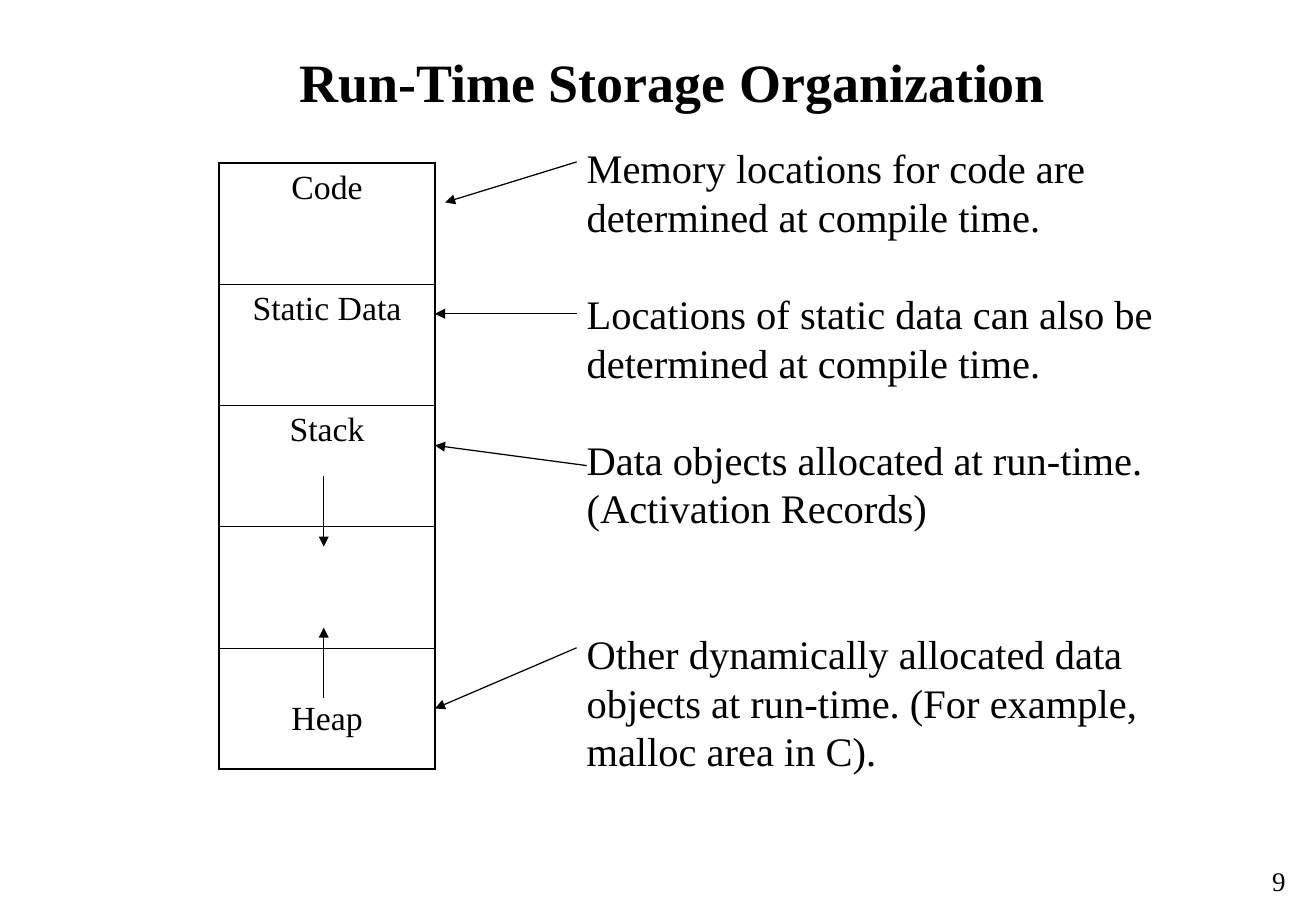
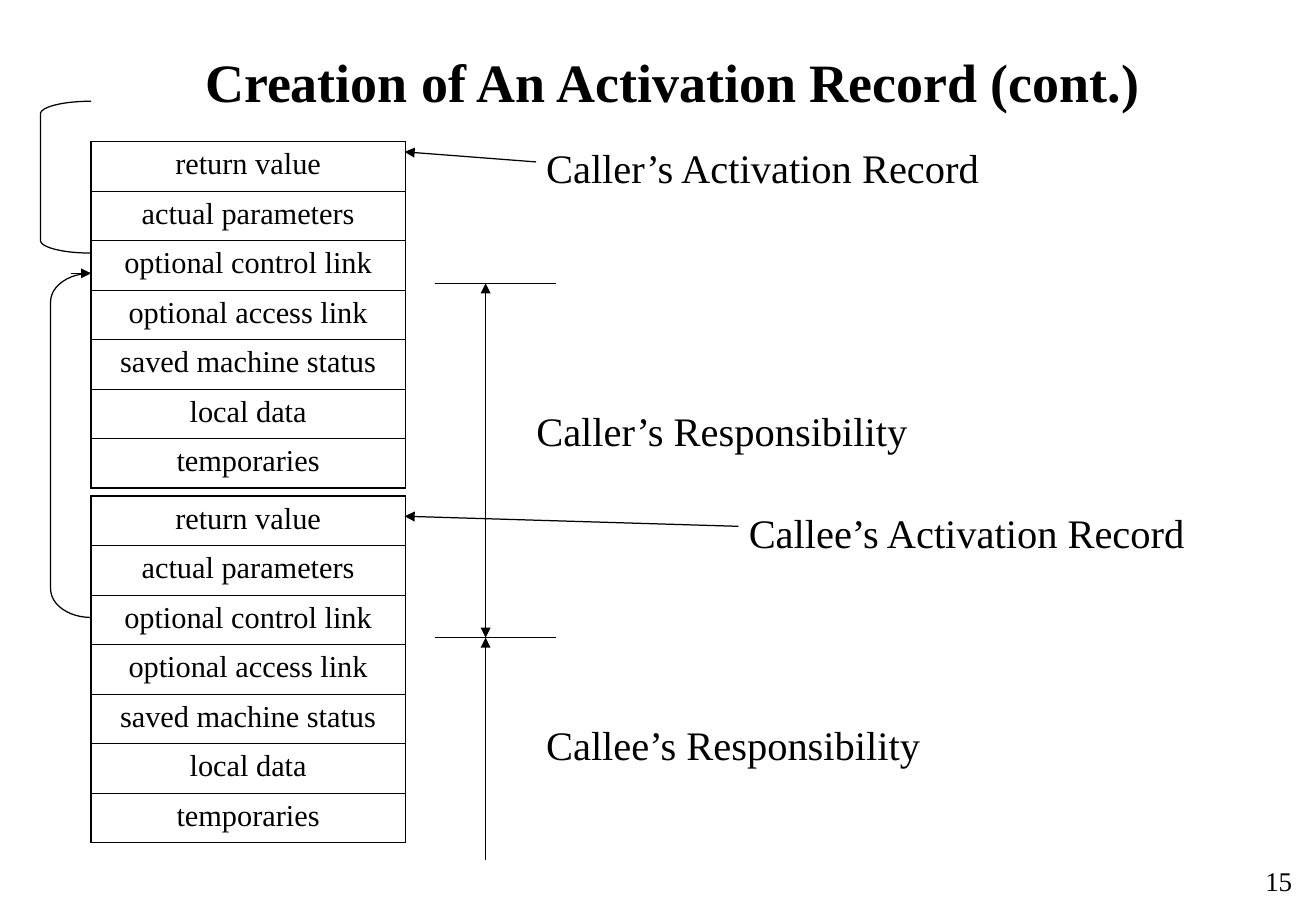
from lxml import etree
from pptx import Presentation
from pptx.dml.color import RGBColor
from pptx.enum.shapes import MSO_CONNECTOR, MSO_SHAPE
from pptx.enum.text import MSO_ANCHOR, PP_ALIGN
from pptx.oxml.ns import qn
from pptx.util import Pt

STRAIGHT = MSO_CONNECTOR.STRAIGHT
LEFT_BRACKET = MSO_SHAPE.LEFT_BRACKET
MIDDLE = MSO_ANCHOR.MIDDLE
LEFT, CENTER = PP_ALIGN.LEFT, PP_ALIGN.CENTER

FONT = "Times New Roman"
BLACK = "000000"
THICK, THIN, STROKE = 1.08, 0.45, 0.75
NOTE_SIZE, NOTE_PITCH = 24, 28.8


def color(hex_code):
    return RGBColor.from_string(hex_code)


def write(para, text, size, align=LEFT, bold=False):
    para.alignment = align
    span = para.add_run()
    span.text = text
    span.font.name = FONT
    span.font.size = Pt(size)
    span.font.bold = bold
    span.font.color.rgb = color(BLACK)


deck = Presentation()
deck.slide_width, deck.slide_height = Pt(780.48), Pt(540)

# Shared title position
layout = deck.slide_layouts[5]
title = layout.placeholders[0]
title.left, title.top, title.width, title.height = Pt(30), Pt(12), Pt(738), Pt(72)

# Pages with title and page number
pages = []
for heading, number in (("Run-Time Storage Organization", "9"),
                        ("Creation of An Activation Record (cont.)", "15")):
    page = deck.slides.add_slide(layout)
    write(page.shapes.title.text_frame.paragraphs[0], heading, 32, CENTER, True)
    box = page.shapes.add_textbox(Pt(738.4), Pt(509.4), Pt(40), Pt(25.2))
    box.text_frame.word_wrap = False
    box.text_frame.vertical_anchor = MIDDLE
    write(box.text_frame.paragraphs[0], number, 16, CENTER)
    pages.append(page)
storage, record = pages

# Memory areas and activation records
areas = ("Code", "Static Data", "Stack", "", "Heap")
fields = ("return value", "actual parameters", "optional control link",
          "optional access link", "saved machine status", "local data", "temporaries")
for page, left, top, width, row_height, size, labels in (
        (storage, 130, 96.5, 128, 71.9, 20, areas),
        (record, 54, 84, 186.4, 29.35, 18, fields),
        (record, 54, 294, 186.4, 29.35, 18, fields)):
    frame = page.shapes.add_table(len(labels), 1, Pt(left), Pt(top),
                                  Pt(width), Pt(row_height * len(labels)))
    table = frame.table
    table.first_row = table.horz_banding = False
    for index, label in enumerate(labels):
        table.rows[index].height = Pt(row_height)
        cell = table.cell(index, 0)
        cell.margin_left = cell.margin_right = Pt(7.2)
        # Heap sits one line lower than the other labels
        cell.margin_top = Pt(31 if label == "Heap" else 3.6)
        cell.margin_bottom = Pt(3.6)
        if label:
            write(cell.text_frame.paragraphs[0], label, size, CENTER)
        borders = {
            "a:lnL": THICK,
            "a:lnR": THIN if label == "optional access link" else THICK,
            "a:lnT": THICK if index == 0 else THIN,
            "a:lnB": THICK if index == len(labels) - 1 else THIN,
        }
        properties = cell._tc.get_or_add_tcPr()
        for tag, weight in borders.items():
            border = etree.SubElement(properties, qn(tag), w=str(Pt(weight)))
            fill = etree.SubElement(border, qn("a:solidFill"))
            etree.SubElement(fill, qn("a:srgbClr"), val=BLACK)
        cell.fill.background()

# Control links as brackets
for left, top, width, height in ((30, 162, 24, 204), (24, 60, 30, 90)):
    bracket = record.shapes.add_shape(LEFT_BRACKET, Pt(left), Pt(top), Pt(width), Pt(height))
    bracket.adjustments[0] = height / 12 / width
    bracket.shadow.inherit = False
    bracket.fill.background()
    bracket.line.color.rgb = color(BLACK)
    bracket.line.width = Pt(STROKE)

# Arrows and rules: start, end, arrowheads
END, BOTH, PLAIN = ("a:tailEnd",), ("a:headEnd", "a:tailEnd"), ()
for page, start, end, heads in (
        (storage, (192, 282), (192, 324), END),
        (storage, (192, 414), (192, 372), END),
        (storage, (342, 96), (264, 120), END),
        (storage, (342, 186), (258, 186), END),
        (storage, (348, 276), (258, 264), END),
        (storage, (342, 384), (258, 420), END),
        (record, (42, 162), (54, 162), END),
        (record, (288, 168), (288, 378), BOTH),
        (record, (288, 510), (288, 378), END),
        (record, (258, 168), (330, 168), PLAIN),
        (record, (258, 378), (330, 378), PLAIN),
        (record, (438, 312), (240, 306), END),
        (record, (318, 96), (240, 90), END)):
    line = page.shapes.add_connector(STRAIGHT, *map(Pt, start + end))
    line.line.color.rgb = color(BLACK)
    line.line.width = Pt(STROKE)
    properties = line._element.spPr
    for tag in heads:
        etree.SubElement(properties.find(qn("a:ln")), qn(tag), type="triangle")
    etree.SubElement(properties, qn("a:effectLst"))

# Notes: each paragraph has its blank lines before and its text lines
memory_notes = (
    (0, ("Memory locations for code are", "determined at compile time.")),
    (1, ("Locations of static data can also be", "determined at compile time.")),
    (1, ("Data objects allocated at run-time.", "(Activation Records)")),
    (2, ("Other dynamically allocated data", "objects at run-time. (For example,",
         "malloc area in C).")),
)
for page, left, top, width, height, notes in (
        (storage, 340.8, 81.4, 370, 381.6, memory_notes),
        (record, 311, 237.4, 250, 36, ((0, ("Caller’s Responsibility",)),)),
        (record, 316.8, 423.4, 250, 36, ((0, ("Callee’s Responsibility",)),)),
        (record, 316.8, 81.4, 290, 36, ((0, ("Caller’s Activation Record",)),)),
        (record, 437, 297.4, 290, 36, ((0, ("Callee’s Activation Record",)),))):
    box = page.shapes.add_textbox(Pt(left), Pt(top), Pt(width), Pt(height))
    box.text_frame.word_wrap = True
    for index, (gap, lines) in enumerate(notes):
        para = box.text_frame.add_paragraph() if index else box.text_frame.paragraphs[0]
        para.line_spacing = Pt(NOTE_PITCH)
        if gap:
            para.space_before = Pt(gap * NOTE_PITCH)
        for row, text in enumerate(lines):
            if row:
                para.add_line_break()
            write(para, text, NOTE_SIZE)

deck.save("out.pptx")
